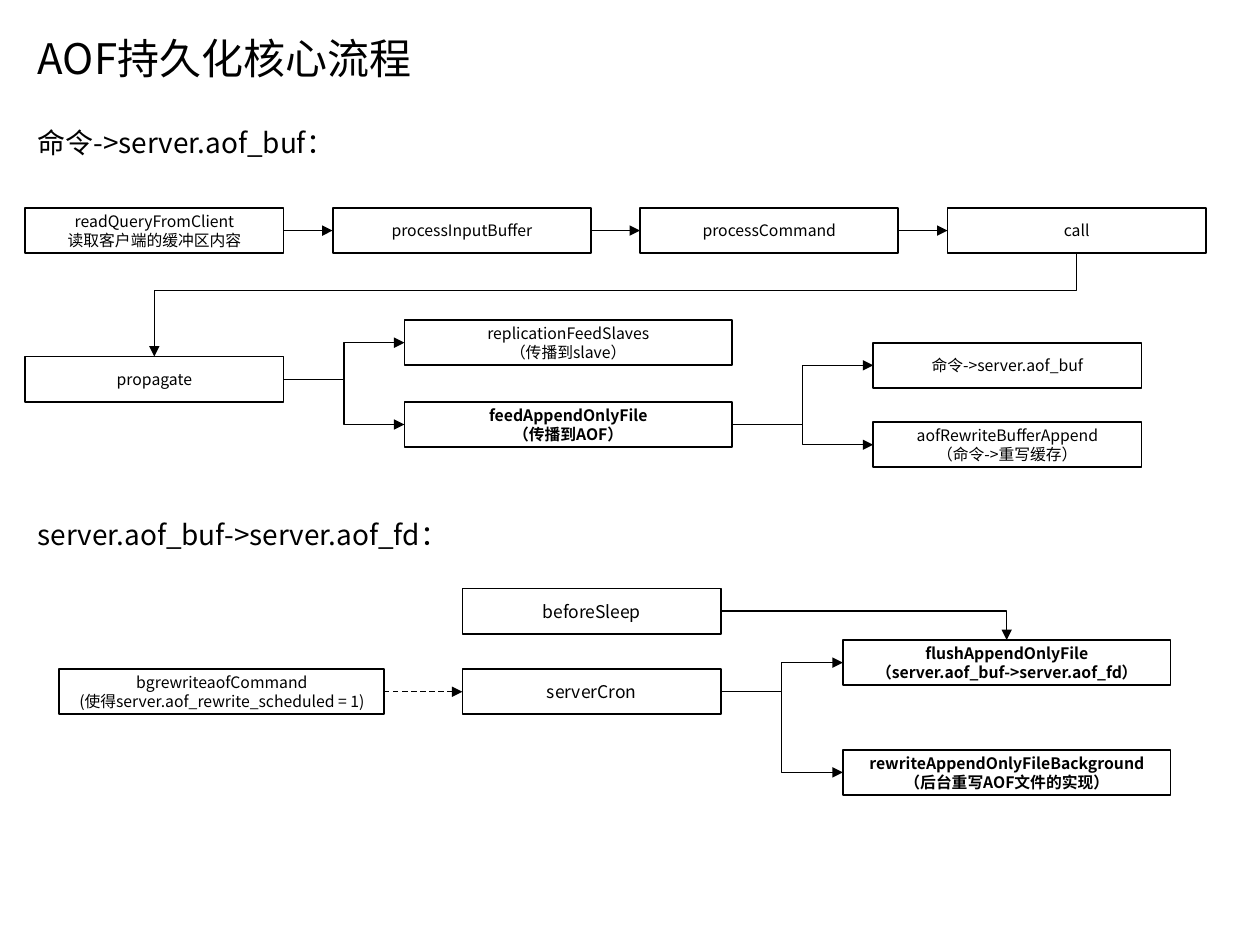
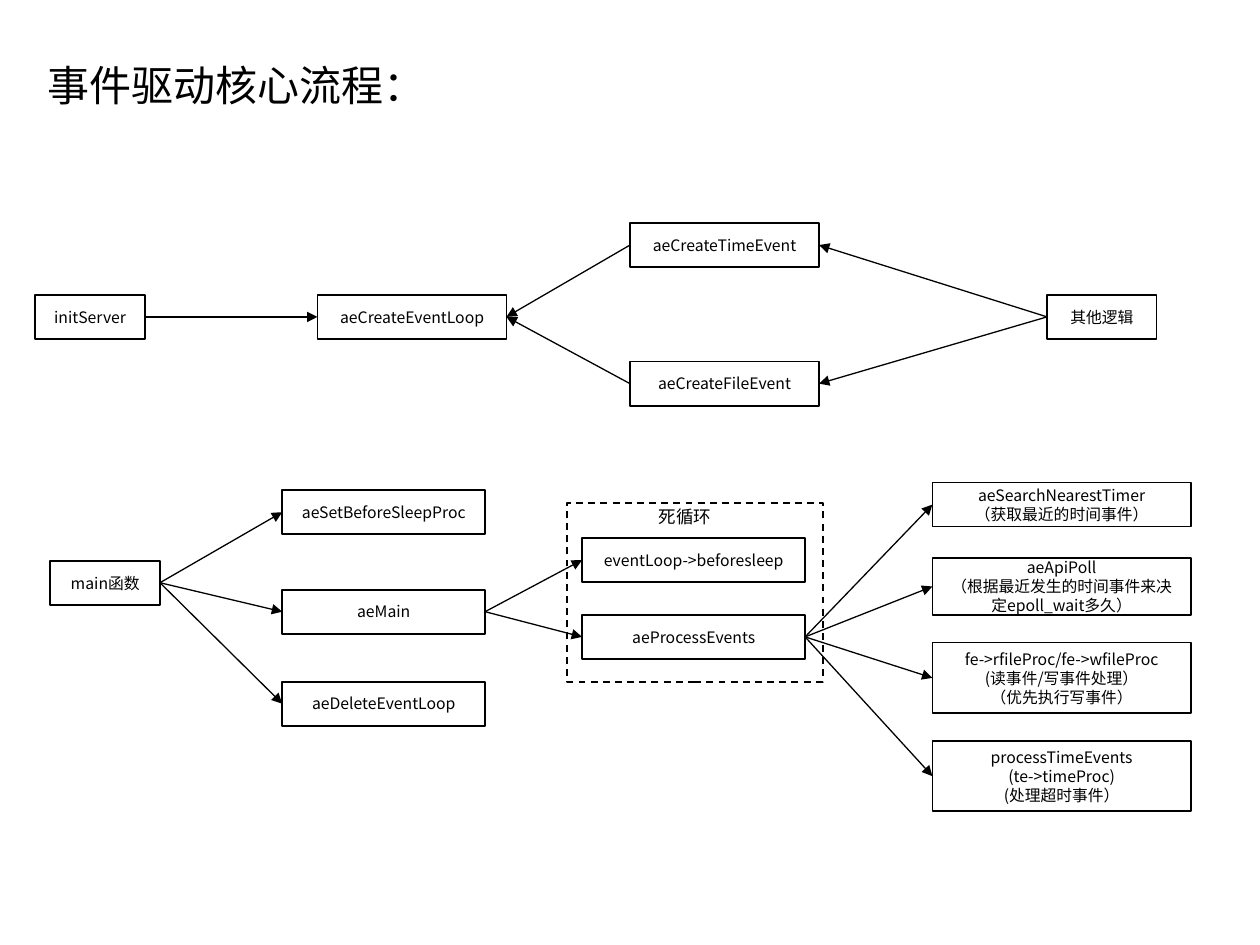
from dataclasses import dataclass

from lxml.etree import SubElement
from pptx import Presentation
from pptx.dml.color import RGBColor
from pptx.enum.dml import MSO_LINE
from pptx.enum.shapes import MSO_CONNECTOR, MSO_SHAPE
from pptx.enum.text import MSO_ANCHOR, MSO_AUTO_SIZE, PP_ALIGN
from pptx.oxml.ns import qn
from pptx.util import Pt

SCALE = 9144  # EMU in one px, 100 px to the inch
TOP, LEFT, BOTTOM, RIGHT = range(4)


@dataclass(frozen=True)
class Theme:
    font: str = "Noto Sans CJK SC"
    ink: RGBColor = RGBColor(0, 0, 0)
    paper: RGBColor = RGBColor(255, 255, 255)
    title: int = 24
    heading: int = 16
    label: int = 10
    small: int = 9
    leading: float = 1.2
    border: float = 1
    arrow: float = 0.75


def px(*lengths):
    return [round(length * SCALE) for length in lengths]


def anchor(box, side):
    """Middle of one side of a box, in EMU."""
    x = {LEFT: box.left, RIGHT: box.left + box.width}.get(side, box.left + box.width // 2)
    y = {TOP: box.top, BOTTOM: box.top + box.height}.get(side, box.top + box.height // 2)
    return x, y


class FlowPage:
    def __init__(self, deck, theme):
        self.theme = theme
        self.slide = deck.slides.add_slide(deck.slide_layouts[5])
        self.shapes = self.slide.shapes

    def set_text(self, frame, text, size, bold=False, align=PP_ALIGN.LEFT):
        frame.word_wrap = True
        frame.auto_size = MSO_AUTO_SIZE.NONE
        for index, line in enumerate(text.split("\n")):
            para = frame.add_paragraph() if index else frame.paragraphs[0]
            para.text = line
            para.alignment = align
            para.line_spacing = Pt(size * self.theme.leading)
            font = para.font
            font.name, font.size, font.bold = self.theme.font, Pt(size), bold
            font.color.rgb = self.theme.ink
            defaults = para._p.get_or_add_pPr().get_or_add_defRPr()
            SubElement(defaults, qn("a:ea"), typeface=self.theme.font)

    def title(self, text, left, top, width):
        title = self.shapes.title
        title.left, title.top, title.width, title.height = px(left, top, width, 50)
        title.text_frame.vertical_anchor = MSO_ANCHOR.TOP
        self.set_text(title.text_frame, text, self.theme.title)

    def label(self, text, left, top, width, height, size):
        label = self.shapes.add_textbox(*px(left, top, width, height))
        self.set_text(label.text_frame, text, size)

    def box(self, text, left, top, width, height, size=None, bold=False, dashed=False):
        box = self.shapes.add_shape(MSO_SHAPE.RECTANGLE, *px(left, top, width, height))
        box.shadow.inherit = False
        box.fill.solid()
        box.fill.fore_color.rgb = self.theme.paper
        box.line.color.rgb = self.theme.ink
        box.line.width = Pt(self.theme.border)
        if dashed:
            box.line.dash_style = MSO_LINE.DASH
        if text:
            box.text_frame.vertical_anchor = MSO_ANCHOR.MIDDLE
            self.set_text(box.text_frame, text, size or self.theme.small, bold, PP_ALIGN.CENTER)
        return box

    def connector(self, kind, start, end, dashed=False):
        connector = self.shapes.add_connector(kind, *start, *end)
        connector.line.color.rgb = self.theme.ink
        connector.line.width = Pt(self.theme.arrow)
        if dashed:
            connector.line.dash_style = MSO_LINE.DASH
        SubElement(connector.line._get_or_add_ln(), qn("a:tailEnd"), type="triangle")
        SubElement(connector._element.spPr, qn("a:effectLst"))
        return connector

    def arrow(self, source, target, sides=(RIGHT, LEFT), kind=MSO_CONNECTOR.STRAIGHT, dashed=False):
        start, end = anchor(source, sides[0]), anchor(target, sides[1])
        connector = self.connector(kind, start, end, dashed)
        connector.begin_connect(source, sides[0])
        connector.end_connect(target, sides[1])
        return connector

    def elbow(self, source, target):
        self.arrow(source, target, kind=MSO_CONNECTOR.ELBOW)

    def corner(self, source, target):
        """One bend: out to the right, then down onto the target."""
        connector = self.arrow(source, target, (RIGHT, TOP), MSO_CONNECTOR.ELBOW)
        connector._element.spPr.prstGeom.set("prst", "bentConnector2")

    def return_line(self, source, target, bend):
        """Down, back to the left, then down: an elbow turned by 90 degrees."""
        (x1, y1), (x2, y2) = anchor(source, BOTTOM), anchor(target, TOP)
        run, drop = x1 - x2, y2 - y1
        left, top = (x1 + x2 - drop) // 2, (y1 + y2 - run) // 2
        connector = self.connector(MSO_CONNECTOR.ELBOW, (left, top), (left + drop, top + run))
        properties = connector._element.spPr
        properties.xfrm.set("rot", str(90 * 60000))
        guides = properties.prstGeom.get_or_add_avLst()
        SubElement(guides, qn("a:gd"), name="adj1", fmla=f"val {round(bend * 100000)}")


def build_persistence(deck, theme):
    page = FlowPage(deck, theme)
    page.title("AOF持久化核心流程", 20, 21, 409)
    for text, top in (("命令->server.aof_buf：", 95), ("server.aof_buf->server.aof_fd：", 406)):
        page.label(text, 20, top, 409, 37, theme.heading)

    # Command to buffer: the main row
    steps = ("readQueryFromClient\n读取客户端的缓冲区内容", "processInputBuffer",
             "processCommand", "call")
    row = [page.box(text, 20 + 244 * column, 165, 205, 36) for column, text in enumerate(steps)]
    for source, target in zip(row, row[1:]):
        page.arrow(source, target)

    # Propagation and its branches
    propagate = page.box("propagate", 20, 283, 205, 36)
    page.return_line(row[-1], propagate, 0.36)
    feed = page.box("feedAppendOnlyFile\n（传播到AOF）", 321, 319, 260, 36, bold=True)
    replicate = page.box("replicationFeedSlaves\n（传播到slave）", 321, 254, 260, 36)
    buffer = page.box("命令->server.aof_buf", 693, 272, 213, 36)
    rewrite_buffer = page.box("aofRewriteBufferAppend\n（命令->重写缓存）", 693, 335, 213, 36)

    # Buffer to file
    before_sleep = page.box("beforeSleep", 367, 467, 205, 36, theme.label)
    cron = page.box("serverCron", 367, 531, 205, 36, theme.label)
    command = page.box("bgrewriteaofCommand\n(使得server.aof_rewrite_scheduled = 1)",
                       47, 531, 258, 36)
    flush_file = page.box("flushAppendOnlyFile\n（server.aof_buf->server.aof_fd）",
                          669, 508, 260, 36, bold=True)
    rewrite_file = page.box("rewriteAppendOnlyFileBackground\n（后台重写AOF文件的实现）",
                            669, 595, 260, 36, bold=True)
    page.arrow(command, cron, dashed=True)
    page.corner(before_sleep, flush_file)

    for source, targets in ((propagate, (replicate, feed)), (feed, (buffer, rewrite_buffer)),
                            (cron, (flush_file, rewrite_file))):
        for target in targets:
            page.elbow(source, target)


def build_events(deck, theme):
    page = FlowPage(deck, theme)
    page.title("事件驱动核心流程：", 28, 42, 346)

    # Creating the loop and its events
    init = page.box("initServer", 28, 234, 87, 35)
    create_loop = page.box("aeCreateEventLoop", 252, 234, 150, 35)
    other = page.box("其他逻辑", 831, 234, 87, 35)
    page.arrow(init, create_loop)
    for text, top in (("aeCreateTimeEvent", 177), ("aeCreateFileEvent", 287)):
        event = page.box(text, 500, top, 150, 35)
        page.arrow(other, event, (LEFT, RIGHT))
        page.arrow(event, create_loop, (LEFT, RIGHT))

    # Endless loop frame
    page.box("", 450, 399, 203, 142, dashed=True)
    page.label("死循环", 513, 397, 99, 27, theme.label)

    # Main function, its calls and the loop stages
    main_function = page.box("main函数", 40, 445, 87, 35)
    calls = [page.box(text, 224, top, 161, 35) for text, top in (
        ("aeSetBeforeSleepProc", 389), ("aeMain", 468), ("aeDeleteEventLoop", 541))]
    stages = [page.box(text, 462, top, 177, 35) for text, top in (
        ("eventLoop->beforesleep", 427), ("aeProcessEvents", 488))]

    # Work done in each pass
    tasks = [page.box(text, 740, top, 205, height) for text, top, height in (
        ("aeSearchNearestTimer\n（获取最近的时间事件）", 383, 35),
        ("aeApiPoll\n（根据最近发生的时间事件来决定epoll_wait多久）", 443, 45),
        ("fe->rfileProc/fe->wfileProc\n(读事件/写事件处理）\n（优先执行写事件）", 510, 56),
        ("processTimeEvents\n(te->timeProc)\n(处理超时事件）", 588, 56))]

    for source, targets in ((main_function, calls), (calls[1], stages), (stages[1], tasks)):
        for target in targets:
            page.arrow(source, target)


def main():
    deck = Presentation()
    deck.slide_width, deck.slide_height = px(1000, 750)
    theme = Theme()
    build_persistence(deck, theme)
    build_events(deck, theme)
    deck.save("out.pptx")


if __name__ == "__main__":
    main()
